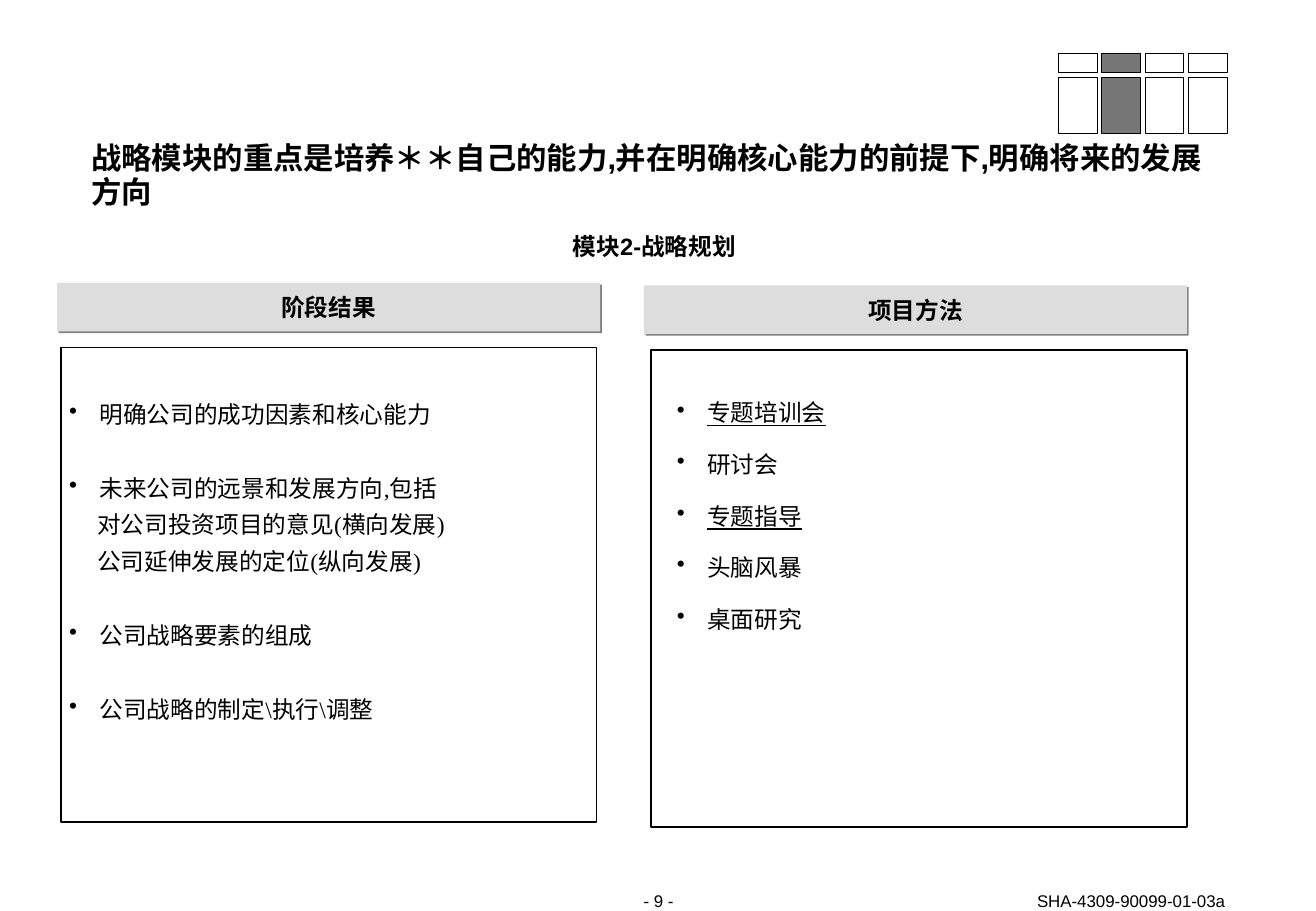
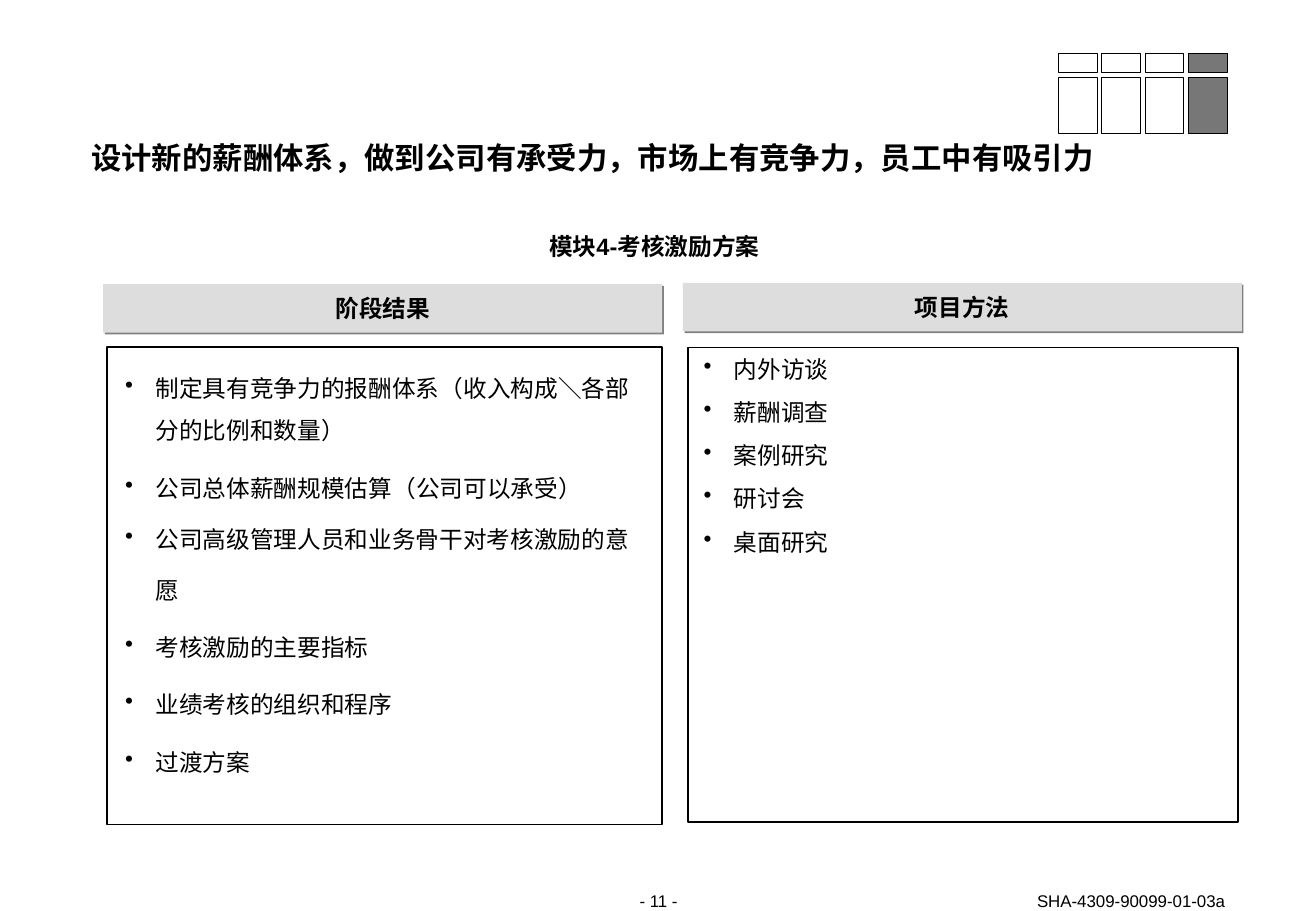
import dataclasses
import typing

import lxml.etree
import pptx
import pptx.dml.color
import pptx.enum.lang
import pptx.enum.shapes
import pptx.enum.text
import pptx.oxml.ns
import pptx.util

Inches = pptx.util.Inches
Pt = pptx.util.Pt
Align = pptx.enum.text.PP_ALIGN
Anchor = pptx.enum.text.MSO_ANCHOR


@dataclasses.dataclass(frozen=True)
class Theme:
    ink: str = "000000"
    band: str = "DDDDDD"
    shade: str = "808080"
    active: str = "777777"
    sans: str = "Arial"
    serif: str = "Times New Roman"
    title_size: float = 18
    body_size: float = 14
    footer_size: float = 10
    frame_line: float = 1
    tracker_line: float = 0.5


THEME = Theme()


@dataclasses.dataclass(frozen=True)
class Box:
    left: float
    top: float
    width: float
    height: float

    def lengths(self):
        return [Inches(v) for v in (self.left, self.top, self.width, self.height)]

    def inset(self, dx, dy):
        return Box(self.left + dx, self.top + dy, self.width - 2 * dx, self.height - dy)


@dataclasses.dataclass(frozen=True)
class Item:
    wording: typing.Tuple
    spacing: float
    before: float = 0
    underline: bool = False
    bullet: bool = True


@dataclasses.dataclass(frozen=True)
class Panel:
    heading: str
    band: Box
    frame: Box
    list_inset: typing.Tuple
    items: typing.List


@dataclasses.dataclass(frozen=True)
class Module:
    number: int
    page: int
    title: str
    subtitle: str
    panels: typing.List


TITLE = Box(0.75, 1.17, 9.33, 0.67)
SUBTITLE = Box(0.72, 1.92, 9.33, 0.22)
TRACKER = Box(8.71, 0.44, 1.39, 0.66)
PAGE = Box(4.85, 7.33, 1.14, 0.17)
DOCUMENT = Box(7.64, 7.33, 2.44, 0.17)


def rgb(value):
    return pptx.dml.color.RGBColor.from_string(value)


def style(run, size, font=THEME.sans, bold=False, underline=False):
    run.font.size = Pt(size)
    run.font.name = font
    run.font.bold = bold
    run.font.underline = underline
    run.font.color.rgb = rgb(THEME.ink)
    run.font.language_id = pptx.enum.lang.MSO_LANGUAGE_ID.SIMPLIFIED_CHINESE


def prepare_frame(shape, anchor=Anchor.TOP):
    frame = shape.text_frame
    frame.word_wrap = True
    frame.auto_size = pptx.enum.text.MSO_AUTO_SIZE.NONE
    frame.vertical_anchor = anchor
    frame.margin_left = frame.margin_right = 0
    frame.margin_top = frame.margin_bottom = 0
    return frame


def write_line(shape, text, size, align, bold=False, leading=None, anchor=Anchor.TOP):
    frame = prepare_frame(shape, anchor)
    frame.text = text
    paragraph = frame.paragraphs[0]
    paragraph.alignment = align
    paragraph.space_before = Pt(0)
    if leading:
        paragraph.line_spacing = Pt(leading)
    style(paragraph.runs[0], size, bold=bold)


def add_rect(slide, box, fill=None, line=None):
    rect = slide.shapes.add_shape(pptx.enum.shapes.MSO_SHAPE.RECTANGLE, *box.lengths())
    rect.shadow.inherit = False
    if fill:
        rect.fill.solid()
        rect.fill.fore_color.rgb = rgb(fill)
    else:
        rect.fill.background()
    if line:
        rect.line.color.rgb = rgb(THEME.ink)
        rect.line.width = Pt(line)
    else:
        rect.line.fill.background()
    return rect


def add_child(parent, tag, **attributes):
    return lxml.etree.SubElement(parent, pptx.oxml.ns.qn(tag), **attributes)


def drop_shadow(shape):
    effects = shape.element.spPr.find(pptx.oxml.ns.qn("a:effectLst"))
    shadow = add_child(effects, "a:outerShdw", blurRad="0", dist=str(Pt(1.4)),
                       dir="2700000", algn="ctr", rotWithShape="0")
    add_child(shadow, "a:srgbClr", val=THEME.shade)


def set_indent(paragraph, bullet):
    properties = paragraph._p.get_or_add_pPr()
    properties.set("marL", str(Inches(0.25 if bullet else 0.23)))
    properties.set("indent", str(Inches(-0.25 if bullet else 0)))
    if bullet:
        color = add_child(properties, "a:buClr")
        add_child(color, "a:srgbClr", val=THEME.ink)
        add_child(properties, "a:buChar", char="•")
    else:
        add_child(properties, "a:buNone")


def add_list(slide, box, items):
    frame = prepare_frame(slide.shapes.add_textbox(*box.lengths()))
    for index, item in enumerate(items):
        paragraph = frame.add_paragraph() if index else frame.paragraphs[0]
        set_indent(paragraph, item.bullet)
        paragraph.line_spacing = item.spacing
        paragraph.space_before = Pt(item.before if index else 0)
        for text, font in item.wording:
            run = paragraph.add_run()
            run.text = text
            style(run, THEME.body_size, font, underline=item.underline)


def add_panel(slide, panel):
    band = add_rect(slide, panel.band, fill=THEME.band)
    drop_shadow(band)
    write_line(band, panel.heading, THEME.body_size, Align.CENTER, bold=True,
               anchor=Anchor.MIDDLE)
    add_rect(slide, panel.frame, line=THEME.frame_line)
    add_list(slide, panel.frame.inset(*panel.list_inset), panel.items)


def add_tracker(slide, box, current, count=4):
    cell_width = 0.32
    pitch = (box.width - cell_width) / (count - 1)
    for top, height in ((0, 0.16), (0.2, box.height - 0.2)):
        for column in range(count):
            cell = Box(box.left + column * pitch, box.top + top, cell_width, height)
            fill = THEME.active if column == current - 1 else None
            add_rect(slide, cell, fill, THEME.tracker_line)


def add_title(slide, box, text):
    title = slide.shapes.title
    title.left, title.top, title.width, title.height = box.lengths()
    write_line(title, text, THEME.title_size, Align.LEFT, bold=True, leading=20)


def add_footer(slide, page):
    for box, text, align, anchor in (
        (PAGE, f"- {page} -", Align.CENTER, Anchor.TOP),
        (DOCUMENT, "SHA-4309-90099-01-03a", Align.RIGHT, Anchor.BOTTOM),
    ):
        label = slide.shapes.add_textbox(*box.lengths())
        write_line(label, text, THEME.footer_size, align, anchor=anchor)


def add_module(deck, module):
    slide = deck.slides.add_slide(deck.slide_layouts.get_by_name("Title Only"))
    add_title(slide, TITLE, module.title)
    subtitle = slide.shapes.add_textbox(*SUBTITLE.lengths())
    write_line(subtitle, module.subtitle, THEME.body_size, Align.CENTER, bold=True,
               leading=16)
    for panel in module.panels:
        add_panel(slide, panel)
    add_tracker(slide, TRACKER, module.number)
    add_footer(slide, module.page)


def sans(text, spacing, before=8.8, underline=False):
    return Item(((text, THEME.sans),), spacing, before, underline)


def serif(text, spacing, before, bullet=True):
    return Item(((text, THEME.serif),), spacing, before, bullet=bullet)


MODULES = [
    Module(
        2, 9,
        "战略模块的重点是培养＊＊自己的能力,并在明确核心能力的前提下,明确将来的发展方向",
        "模块2-战略规划",
        [
            Panel("阶段结果", Box(0.47, 2.33, 4.47, 0.4), Box(0.5, 2.86, 4.41, 3.91),
                  (0.07, 0.36), [
                      serif("明确公司的成功因素和核心能力", 1.3, 0),
                      serif("未来公司的远景和发展方向,包括", 1.3, 22),
                      serif("对公司投资项目的意见(横向发展)", 1.3, 0, bullet=False),
                      serif("公司延伸发展的定位(纵向发展)", 1.3, 0, bullet=False),
                      serif("公司战略要素的组成", 1.3, 22),
                      serif(r"公司战略的制定\执行\调整", 1.3, 22),
                  ]),
            Panel("项目方法", Box(5.3, 2.35, 4.47, 0.4), Box(5.36, 2.88, 4.41, 3.93),
                  (0.21, 0.33), [
                      sans("专题培训会", 1.3, underline=True),
                      sans("研讨会", 1.3),
                      sans("专题指导", 1.3, underline=True),
                      sans("头脑风暴", 1.3),
                      sans("桌面研究", 1.3),
                  ]),
        ],
    ),
    Module(
        4, 11,
        "设计新的薪酬体系，做到公司有承受力，市场上有竞争力，员工中有吸引力",
        "模块4-考核激励方案",
        [
            Panel("阶段结果", Box(0.85, 2.34, 4.6, 0.4), Box(0.88, 2.86, 4.57, 3.93),
                  (0.15, 0.1), [
                      Item((("制定具有竞争力的报酬体系（", THEME.sans),
                            ("收入构成＼各部分的比例和数量）", THEME.serif)), 1.5),
                      Item((("公司总体薪酬规模估算（", THEME.serif),
                            ("公司可以承受）", THEME.sans)), 1.5, 8.8),
                      serif("公司高级管理人员和业务骨干对考核激励的意愿", 1.8, 0),
                      serif("考核激励的主要指标", 1.5, 8.8),
                      serif("业绩考核的组织和程序", 1.5, 8.8),
                      serif("过渡方案", 1.5, 8.8),
                  ]),
            Panel("项目方法", Box(5.62, 2.33, 4.6, 0.4), Box(5.66, 2.86, 4.53, 3.91),
                  (0.13, 0.06), [
                      sans(method, 1.0)
                      for method in ("内外访谈", "薪酬调查", "案例研究", "研讨会", "桌面研究")
                  ]),
        ],
    ),
]


def main():
    deck = pptx.Presentation()
    deck.slide_width, deck.slide_height = Inches(10.83), Inches(7.5)
    for module in MODULES:
        add_module(deck, module)
    deck.save("out.pptx")


if __name__ == "__main__":
    main()
